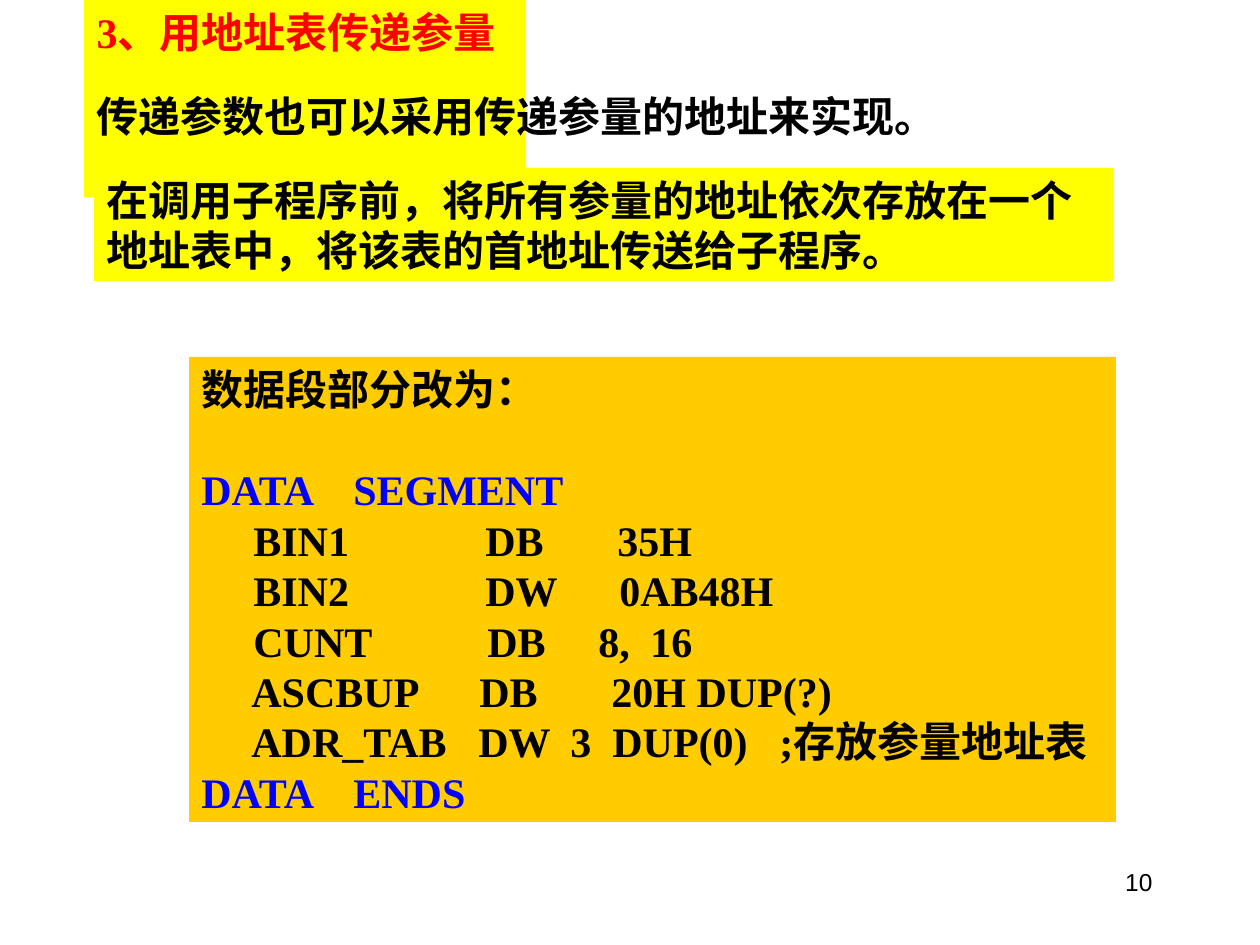
from dataclasses import dataclass
from typing import Optional

from lxml import etree
from pptx import Presentation
from pptx.dml.color import RGBColor
from pptx.enum.shapes import MSO_SHAPE
from pptx.enum.text import MSO_ANCHOR, MSO_AUTO_SIZE, PP_ALIGN
from pptx.oxml.ns import qn
from pptx.util import Emu, Pt

RECT = MSO_SHAPE.RECTANGLE
TOP = MSO_ANCHOR.TOP
GROW, FIXED = MSO_AUTO_SIZE.SHAPE_TO_FIT_TEXT, MSO_AUTO_SIZE.NONE
LEFT, RIGHT = PP_ALIGN.LEFT, PP_ALIGN.RIGHT
BLACK = RGBColor(0, 0, 0)
RED = RGBColor(255, 0, 0)
BLUE = RGBColor(0, 0, 255)
YELLOW = RGBColor(255, 255, 0)
GOLD = RGBColor(255, 204, 0)
SCALE = 914400 / 126
LINE = 28.8


def px(size: int) -> Emu:
    return Emu(round(size * SCALE))


@dataclass
class Line:
    text: str
    color: RGBColor = BLACK
    stops: tuple[int, ...] = ()
    after: float = 0
    font: str = "Times New Roman"
    size: int = 24
    bold: bool = True
    align: PP_ALIGN = LEFT


@dataclass
class Box:
    kind: str
    area: tuple[int, int, int, int]
    lines: list[Line]
    fill: Optional[RGBColor] = None
    wrap: bool = True
    fit: MSO_AUTO_SIZE = GROW


BOXES = [
    Box("title", (84, 0, 441, 63), [Line("3、用地址表传递参量", RED)], YELLOW),
    Box("rect", (94, 168, 1019, 113),
        [Line("在调用子程序前，将所有参量的地址依次存放在一个"
              "地址表中，将该表的首地址传送给子程序。")], YELLOW),
    Box("rect", (189, 357, 927, 465), [
        Line("数据段部分改为：", after=LINE),
        Line("DATA\tSEGMENT", BLUE, (152,)),
        Line("\tBIN1\tDB\t35H", stops=(52, 284, 416)),
        Line("\tBIN2\tDW\t0AB48H", stops=(52, 284, 418)),
        Line("\tCUNT\tDB\t8,\t16", stops=(52, 286, 397, 449)),
        Line("\tASCBUP\tDB\t20H DUP(?)", stops=(50, 278, 410)),
        Line("\tADR_TAB\tDW\t3\tDUP(0)\t;存放参量地址表",
             stops=(50, 277, 369, 411, 578)),
        Line("DATA\tENDS", BLUE, (152,)),
    ], GOLD),
    Box("text", (84, 84, 869, 63),
        [Line("传递参数也可以采用传递参量的地址来实现。")], wrap=False),
    Box("text", (903, 861, 262, 63),
        [Line("10", font="Arial", size=14, bold=False, align=RIGHT)], fit=FIXED),
]


def write(para, line: Line) -> None:
    look = {"alignment": line.align, "space_before": Pt(0),
            "space_after": Pt(line.after)}
    if line.size == 24:
        look["line_spacing"] = Pt(LINE)
    for name, value in look.items():
        setattr(para, name, value)
    if line.stops:
        tabs = etree.SubElement(para._p.get_or_add_pPr(), qn("a:tabLst"))
        for stop in line.stops:
            etree.SubElement(tabs, qn("a:tab"), pos=str(px(stop)), algn="l")
    run = para.add_run()
    run.text = line.text
    style = {"name": line.font, "size": Pt(line.size), "bold": line.bold}
    for name, value in style.items():
        setattr(run.font, name, value)
    run.font.color.rgb = line.color


def draw(slide, box: Box) -> None:
    area = [px(side) for side in box.area]
    if box.kind == "title":
        shape = slide.shapes.title
        for name, value in zip(("left", "top", "width", "height"), area):
            setattr(shape, name, value)
    elif box.kind == "rect":
        shape = slide.shapes.add_shape(RECT, *area)
        shape.shadow.inherit = False
        shape.line.fill.background()
    else:
        shape = slide.shapes.add_textbox(*area)
    if box.fill is not None:
        shape.fill.solid()
        shape.fill.fore_color.rgb = box.fill
    frame = shape.text_frame
    look = {"word_wrap": box.wrap, "auto_size": box.fit, "vertical_anchor": TOP}
    for name, value in look.items():
        setattr(frame, name, value)
    for i, line in enumerate(box.lines):
        write(frame.add_paragraph() if i else frame.paragraphs[0], line)


deck = Presentation()
deck.slide_width, deck.slide_height = px(1260), px(945)
slide = deck.slides.add_slide(deck.slide_layouts[5])
for box in BOXES:
    draw(slide, box)
deck.save("out.pptx")
